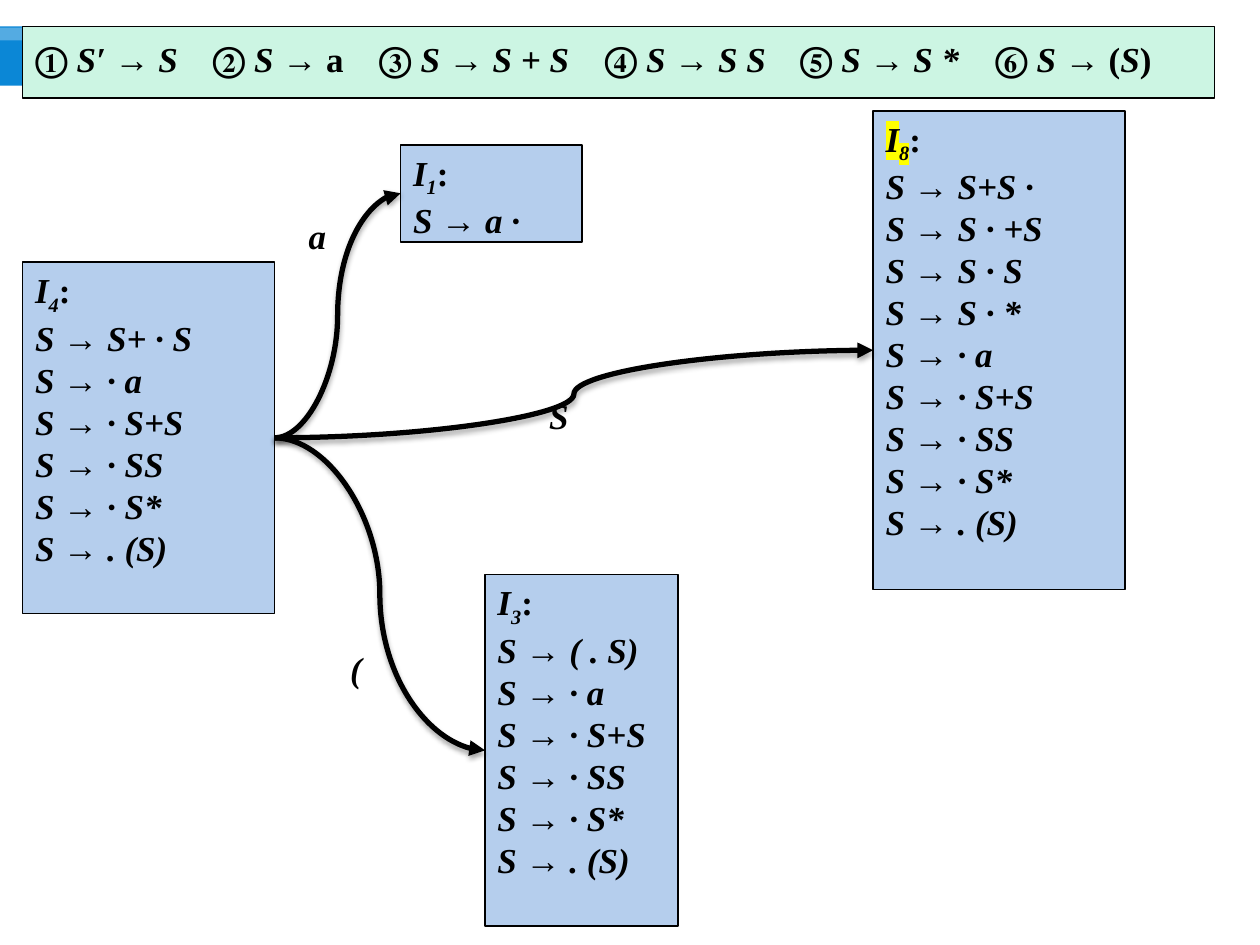
from itertools import groupby

from lxml.etree import SubElement
from pptx import Presentation
from pptx.dml.color import RGBColor
from pptx.enum.shapes import MSO_CONNECTOR as CONN, MSO_SHAPE as SHAPE
from pptx.enum.text import MSO_ANCHOR as ANCHOR, PP_ALIGN as ALIGN
from pptx.oxml.ns import qn
from pptx.util import Inches, Pt

COLORS = {"ink": "000000", "state": "B5CEED", "grammar": "CCF5E3",
          "ribbon": "0B87D6", "gloss": "FFFFFF", "mark": "FFFF00"}
FONT, SIZE = "Times New Roman", 20

GRAMMAR = ["① S′ → S", "② S → a", "③ S → S + S",
           "④ S → S S", "⑤ S → S *", "⑥ S → (S)"]
GRAMMAR_BOX = (0.18, 0.21, 9.46, 0.57)
GRAMMAR_TABS = [1.41, 2.73, 4.52, 6.07, 7.62]

START_ITEMS = ["S → · a", "S → · S+S", "S → · SS", "S → · S*", "S → . (S)"]
STATES = {  # number: (box, items)
    "4": ((0.18, 2.08, 2, 2.79), ["S → S+ · S"] + START_ITEMS),
    "3": ((3.85, 4.56, 1.53, 2.79), ["S → ( . S)"] + START_ITEMS),
    "1": ((3.18, 1.15, 1.44, 0.77), ["S → a ·"]),
    "8": ((6.93, 0.88, 2, 3.8),
          ["S → S+S ·", "S → S · +S", "S → S · S", "S → S · *"] + START_ITEMS),
}
MARKED = "8"
SOURCE = "4"
MOVES = [("1", "a", (2.35, 1.65)), ("3", "(", (2.68, 5.09)), ("8", "S", (4.26, 3.08))]
LABEL_SIZE = (0.55, 0.44)
RIBBONS = [((0, 0.21, 0.83, 0.47), "ribbon", 100), ((0, 0.22, 0.83, 0.1), "gloss", 30)]


def rgb(name):
    return RGBColor.from_string(COLORS[name])


def add_box(s, kind, box, fill, line=True):
    sp = s.shapes.add_shape(kind, *map(Inches, box))
    sp.shadow.inherit = False
    sp.fill.solid()
    sp.fill.fore_color.rgb = rgb(fill)
    if line:
        sp.line.color.rgb = rgb("ink")
        sp.line.width = Pt(1)
    else:
        sp.line.fill.background()
    return sp


def add_run(p, text, italic=True):
    r = p.add_run()
    r.text = text
    f = r.font
    f.name, f.size, f.bold, f.italic = FONT, Pt(SIZE), True, italic
    f.color.rgb = rgb("ink")
    return r


def highlight(r):
    fill = r.font._element.find(qn("a:solidFill"))
    hl = SubElement(r.font._element, qn("a:highlight"))
    SubElement(hl, qn("a:srgbClr"), val=COLORS["mark"])
    fill.addnext(hl)


def add_state(s, number, box, items):
    sp = add_box(s, SHAPE.RECTANGLE, box, "state")
    tf = sp.text_frame
    tf.word_wrap = True
    tf.vertical_anchor = ANCHOR.TOP
    p = tf.paragraphs[0]
    p.alignment = ALIGN.LEFT
    name = [add_run(p, "I"), add_run(p, number)]
    name[1].font._element.set("baseline", "-25000")
    add_run(p, ":", False)
    if number == MARKED:
        for r in name:
            highlight(r)
    for item in items:
        p = tf.add_paragraph()
        p.alignment = ALIGN.LEFT
        add_run(p, item)
    return sp


def add_move(s, start, end):
    """Curved arrow from the right side of one state to the left side of another."""
    c = s.shapes.add_connector(CONN.CURVE, 0, 0, 0, 0)
    c.begin_connect(start, 3)
    c.end_connect(end, 1)
    c.line.color.rgb = rgb("ink")
    c.line.width = Pt(3)
    SubElement(c.line._get_or_add_ln(), qn("a:tailEnd"), type="triangle")
    effects = SubElement(c._element.spPr, qn("a:effectLst"))
    shadow = SubElement(effects, qn("a:outerShdw"), blurRad=str(Pt(3.1)),
                        dist=str(Pt(1.8)), dir="5400000", rotWithShape="0")
    color = SubElement(shadow, qn("a:srgbClr"), val=COLORS["ink"])
    SubElement(color, qn("a:alpha"), val="35000")


def add_label(s, text, at):
    tf = s.shapes.add_textbox(*map(Inches, at + LABEL_SIZE)).text_frame
    tf.word_wrap = True
    add_run(tf.paragraphs[0], text)


def add_grammar(s):
    tf = add_box(s, SHAPE.RECTANGLE, GRAMMAR_BOX, "grammar").text_frame
    tf.word_wrap = True
    tf.vertical_anchor = ANCHOR.MIDDLE
    p = tf.paragraphs[0]
    tabs = SubElement(p._p.get_or_add_pPr(), qn("a:tabLst"))
    for pos in GRAMMAR_TABS:
        SubElement(tabs, qn("a:tab"), pos=str(Inches(pos)), algn="l")
    p.alignment = ALIGN.LEFT
    p.line_spacing = Pt(20)
    for italic, chars in groupby("\t".join(GRAMMAR), lambda ch: ch in "S′+*"):
        add_run(p, "".join(chars), italic)


def main():
    prs = Presentation()
    prs.slide_width, prs.slide_height = Inches(10), Inches(7.5)
    s = prs.slides.add_slide(prs.slide_layouts[6])
    for box, fill, opacity in RIBBONS:
        sp = add_box(s, SHAPE.PENTAGON, box, fill, line=False)
        if opacity < 100:
            color = sp._element.spPr.find(qn("a:solidFill"))[0]
            SubElement(color, qn("a:alpha"), val=str(opacity * 1000))
    states = {n: add_state(s, n, *state) for n, state in STATES.items()}
    for target, symbol, at in MOVES:
        add_move(s, states[SOURCE], states[target])
        add_label(s, symbol, at)
    add_grammar(s)
    prs.save("out.pptx")


if __name__ == "__main__":
    main()
